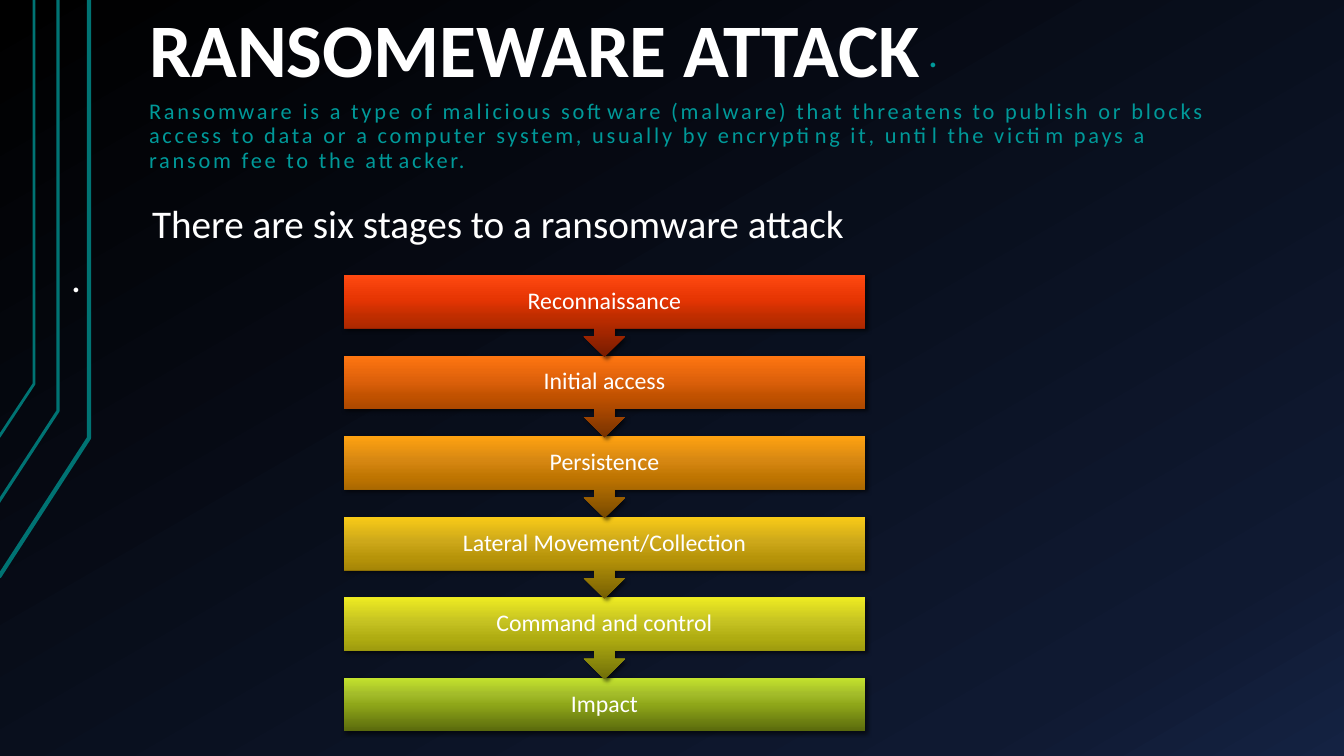
from lxml.etree import SubElement
from pptx import Presentation
from pptx.dml.color import RGBColor
from pptx.enum.shapes import MSO_SHAPE as SHAPE
from pptx.enum.text import MSO_ANCHOR as ANCHOR, MSO_AUTO_SIZE as AUTO, PP_ALIGN as ALIGN
from pptx.oxml.ns import qn
from pptx.util import Pt

PX = 914400 / 100.8
FONT, WHITE, TEAL, LINE = "Calibri", "FFFFFF", "009999", "007373"

BACKGROUND = [(0, "000000"), (85, "0F1931"), (100, "142242")]
RAILS = [
    ([(-1, 577), (89, 438), (89, 0)], 3),
    ([(-2, 503), (58, 411), (58, 0)], 2.25),
    ([(-1, 437), (34, 384), (34, 0)], 2),
]
INTRO = ("Ransomware is a type of malicious software (malware) that threatens to publish "
         "or blocks access to data or a computer system, usually by encrypting it, "
         "until the victim pays a ransom fee to the attacker.")
TEXTS = [
    ("RANSOMEWARE ATTACK", (136, 0, 1142, 101),
     dict(size=54, bold=True, anchor=ANCHOR.BOTTOM)),
    (INTRO, (136, 79, 1093, 101),
     dict(size=16, color=TEAL, spacing=2, anchor=ANCHOR.BOTTOM)),
    ("There are six stages to a ransomware attack", (139, 198, 943, 58),
     dict(size=28, before=16)),
    (".", (915, 25, 151, 58),
     dict(size=28, color=TEAL, spacing=2, anchor=ANCHOR.BOTTOM)),
    (".", (58, 252, 98, 154), dict(size=28, before=16)),
]
STAGES = [
    ("Reconnaissance", ("771C00", "C02D00", "E63503", "FF4911")),
    ("Initial access", ("773200", "C05100", "DE610B", "FF7611")),
    ("Persistence", ("774900", "BF7501", "D68712", "FFA211")),
    ("Lateral Movement/Collection", ("755E02", "B79409", "CDA81A", "F9CB17")),
    ("Command and control", ("706E08", "AFAC11", "C5C222", "EEEB22")),
    ("Impact", ("5A6A0D", "8FA719", "A3BC2A", "C4E32D")),
]
STOPS = (0, 50, 70, 100)
BAR_X, BAR_W, BAR_H, CALLOUT_H = 344, 521, 53, 82
FIRST_Y, LAST_Y = 275, 678


def px(n):
    return round(n * PX)


def rgb(color):
    return RGBColor.from_string(color)


def place(sp, box):
    sp.left, sp.top, sp.width, sp.height = map(px, box)


def write(sp, text, size, color=WHITE, bold=False, spacing=0, before=0,
          anchor=ANCHOR.TOP, align=ALIGN.LEFT, inset=7):
    tf = sp.text_frame
    tf.word_wrap, tf.auto_size, tf.vertical_anchor = True, AUTO.NONE, anchor
    tf.margin_left = tf.margin_right = px(13)
    tf.margin_top = tf.margin_bottom = px(inset)
    p = tf.paragraphs[0]
    p.alignment, p.line_spacing = align, 0.9
    p.space_before, p.space_after = Pt(before), Pt(0)
    pPr = p._p.get_or_add_pPr()
    pPr.set("marL", "0")
    pPr.set("indent", "0")
    SubElement(pPr, qn("a:buNone"))
    r = p.add_run()
    r.text = text
    r.font.name, r.font.size, r.font.bold = FONT, Pt(size), bold
    r.font.color.rgb = rgb(color)
    if spacing:
        r._r.get_or_add_rPr().set("spc", str(spacing * 100))


def gradient(fill, element, stops, angle):
    fill.gradient()
    grad = next(element.iter(qn("a:gradFill")))
    gs_list = grad.find(qn("a:gsLst"))
    for gs in list(gs_list):
        gs_list.remove(gs)
    for pos, color in stops:
        gs = SubElement(gs_list, qn("a:gs"), pos=str(pos * 1000))
        SubElement(gs, qn("a:srgbClr"), val=color)
    grad.find(qn("a:lin")).set("ang", str(angle * 60000))


def drop_shadow(sp):
    sp.shadow.inherit = False
    effects = sp._element.spPr.find(qn("a:effectLst"))
    shadow = SubElement(effects, qn("a:outerShdw"), blurRad=str(Pt(3)), dist=str(Pt(2)),
                        dir=str(45 * 60000), rotWithShape="0")
    color = SubElement(shadow, qn("a:srgbClr"), val="000000")
    SubElement(color, qn("a:alpha"), val="60000")


def add_rail(s, points, width):
    builder = s.shapes.build_freeform(*points[0], scale=PX)
    builder.add_line_segments(points[1:], close=False)
    sp = builder.convert_to_shape()
    sp.shadow.inherit = False
    sp.fill.background()
    sp.line.color.rgb = rgb(LINE)
    sp.line.width = Pt(width)


def add_stage(s, i):
    name, colors = STAGES[i]
    last = len(STAGES) - 1
    y = FIRST_Y + (LAST_Y - FIRST_Y) * i / last
    kind, h = (SHAPE.RECTANGLE, BAR_H) if i == last else (SHAPE.DOWN_ARROW_CALLOUT, CALLOUT_H)
    sp = s.shapes.add_shape(kind, *map(px, (BAR_X, y, BAR_W, h)))
    gradient(sp.fill, sp._element, zip(STOPS, colors), 270)
    sp.line.fill.background()
    drop_shadow(sp)
    write(sp, name, 17, anchor=ANCHOR.MIDDLE, align=ALIGN.CENTER, inset=13)


def main():
    """Build the slide on the stages of a ransomware attack."""
    prs = Presentation()
    prs.slide_width, prs.slide_height = px(1344), px(756)
    s = prs.slides.add_slide(prs.slide_layouts.get_by_name("Comparison"))
    gradient(s.background.fill, s._element, BACKGROUND, 60)
    for sp, (text, box, style) in zip(s.placeholders, TEXTS):
        place(sp, box)
        write(sp, text, **style)
    for points, width in RAILS:
        add_rail(s, points, width)
    for i in reversed(range(len(STAGES))):
        add_stage(s, i)
    prs.save("out.pptx")


if __name__ == "__main__":
    main()
